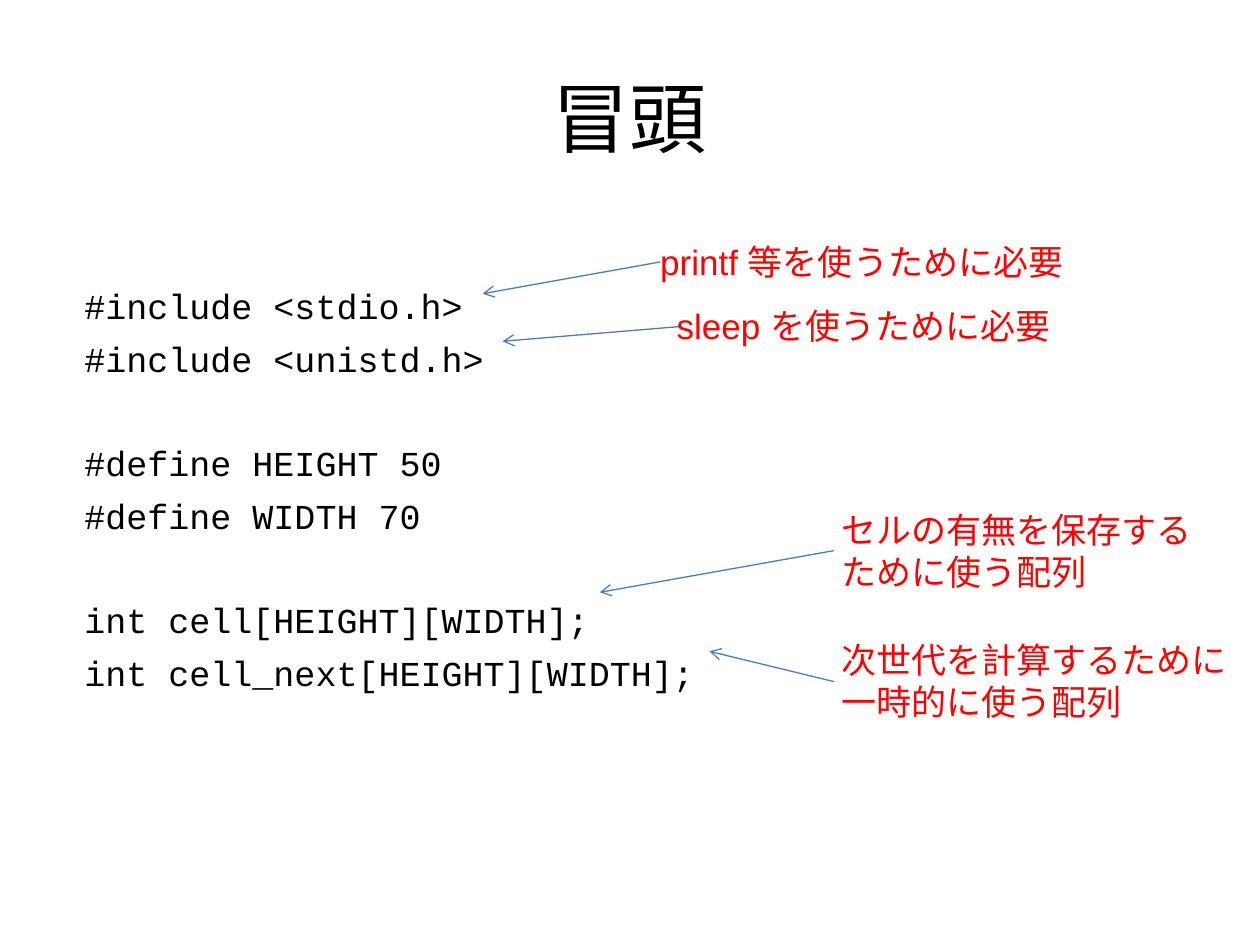
from pptx import Presentation
from pptx.dml.color import RGBColor
from pptx.enum.shapes import MSO_CONNECTOR
from pptx.enum.text import MSO_ANCHOR, MSO_AUTO_SIZE, PP_ALIGN
from pptx.oxml.ns import qn
from pptx.util import Cm, Pt
from lxml.etree import SubElement

# Theme: fonts, sizes and colours
theme = {
    "title": {"name": "Calibri", "size": Pt(44), "color": RGBColor(0, 0, 0)},
    "code": {"name": "Courier New", "size": Pt(20), "color": RGBColor(0, 0, 0)},
    "note": {"name": "Arial", "size": Pt(20), "color": RGBColor(255, 0, 0)},
    "arrow": RGBColor(0x4A, 0x7E, 0xBB),
}


def place(shape, *box):
    for key, val in zip(("left", "top", "width", "height"), box):
        setattr(shape, key, Cm(val))


def write(frame, lines, style):
    """Fill a frame with one paragraph a line and return the paragraphs."""
    frame.text = "\n".join(lines)
    for para in frame.paragraphs:
        for run in para.runs:
            for key, val in theme[style].items():
                if key == "color":
                    run.font.color.rgb = val
                else:
                    setattr(run.font, key, val)
    return frame.paragraphs


deck = Presentation()
deck.slide_width, deck.slide_height = Cm(25.4), Cm(19.05)
slide = deck.slides.add_slide(deck.slide_layouts[5])

# Title
title = slide.shapes.title
place(title, 1.27, 0.76, 22.86, 3.18)
title.text_frame.vertical_anchor = MSO_ANCHOR.MIDDLE
write(title.text_frame, ["冒頭"], "title")[0].alignment = PP_ALIGN.CENTER

# Code, in groups set apart by a line's height
groups = [
    ["#include <stdio.h>", "#include <unistd.h>"],
    ["#define HEIGHT 50", "#define WIDTH 70"],
    ["int cell[HEIGHT][WIDTH];", "int cell_next[HEIGHT][WIDTH];"],
]
step, gap = Pt(6.3), Pt(35.3)
code = slide.shapes.add_textbox(Cm(1.45), Cm(5.44), Cm(22.86), Cm(12.57))
frame = code.text_frame
frame.word_wrap = True
frame.margin_top = Cm(0.3)
paras = write(frame, sum(groups, []), "code")
spaces = [step if row else gap for group in groups for row in range(len(group))]
for para, space in list(zip(paras, spaces))[1:]:
    para.space_before = space

# Notes: lines, box, arrow start, arrow end
notes = [
    (["printf 等を使うために必要"],
     (13.06, 4.72, 8.81, 1.12), (13.31, 5.28), (9.73, 5.92)),
    (["sleep を使うために必要"],
     (13.39, 6.02, 8.2, 1.12), (13.74, 6.58), (10.13, 6.88)),
    (["次世代を計算するために", "一時的に使う配列"],
     (16.71, 12.75, 8.28, 1.96), (16.81, 13.74), (14.3, 13.13)),
    (["セルの有無を保存する", "ために使う配列"],
     (16.71, 10.13, 7.57, 1.96), (16.81, 11.1), (12.09, 11.94)),
]
for lines, box, start, end in notes:
    arrow = slide.shapes.add_connector(
        MSO_CONNECTOR.STRAIGHT, *map(Cm, start + end))
    arrow.line.color.rgb = theme["arrow"]
    arrow.line.width = Pt(0.75)
    SubElement(arrow.line._get_or_add_ln(), qn("a:tailEnd"), type="arrow")
    SubElement(arrow._element.spPr, qn("a:effectLst"))

    note = slide.shapes.add_textbox(*map(Cm, box))
    note.text_frame.word_wrap = False
    note.text_frame.auto_size = MSO_AUTO_SIZE.SHAPE_TO_FIT_TEXT
    write(note.text_frame, lines, "note")

deck.save("out.pptx")
